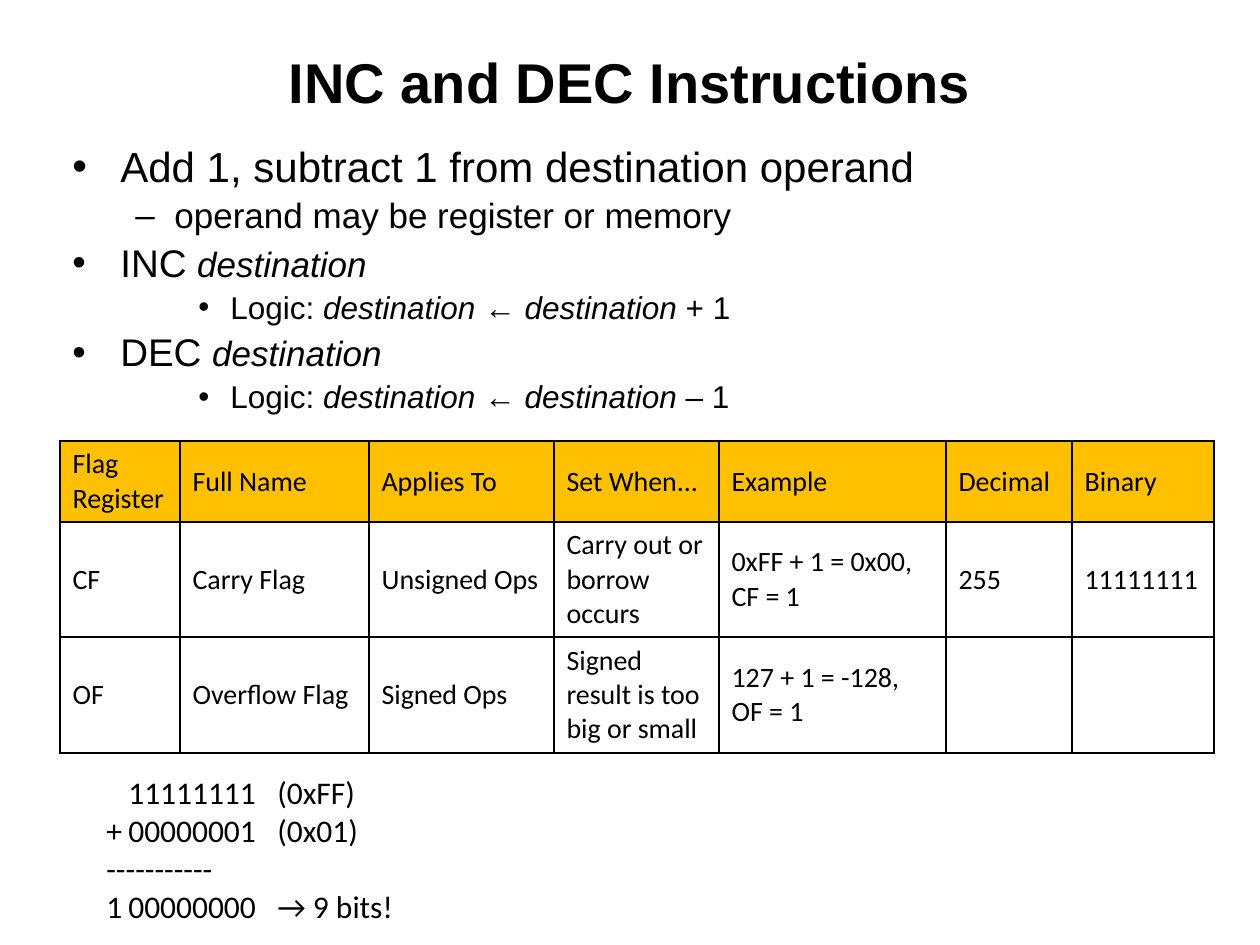
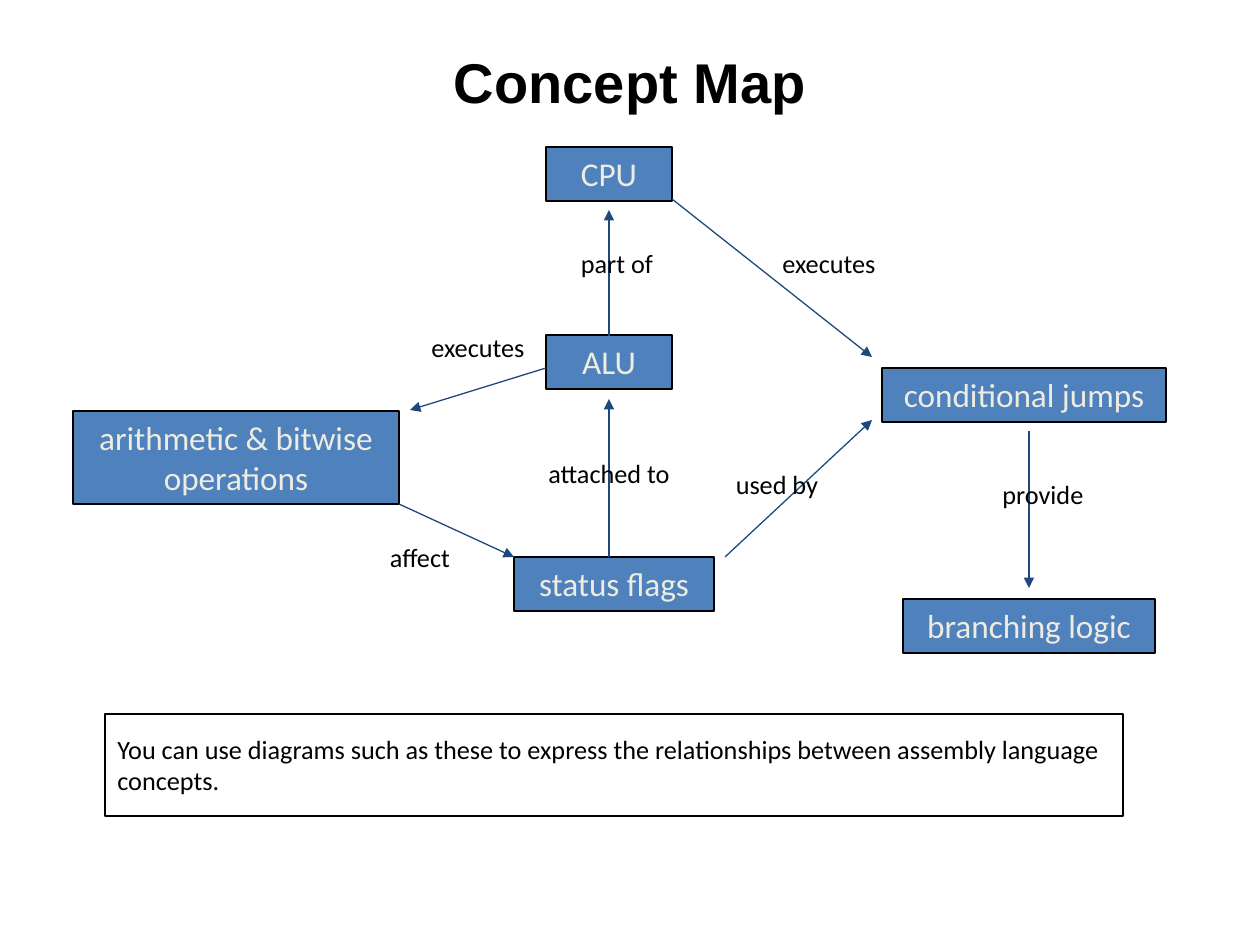
"""Build two slides: INC and DEC instructions, and a concept map."""
from lxml import etree
from pptx import Presentation, util as u
from pptx.dml.color import RGBColor
from pptx.enum import shapes as es, text as et
from pptx.oxml.ns import qn

HUES = {"ink": "000000", "head": "FFC000", "box": "4F81BD",
        "pale": "EEECE1", "line": "1F497D"}
PX = 914400 / 126
MID = et.PP_ALIGN.CENTER

LEVELS = [(48, -48, "•"), (102, -39, "–"), (158, -32, "•")]


def logic(end):
    return (2, [("Logic: ", 18, False), ("destination ", 18, True), ("← ", 18, False),
                ("destination ", 18, True), (end, 18, False)])


def usage(name):
    return (0, [(name + " ", 22, False), ("destination", 20, True)])


POINTS = [
    (0, [("Add 1, subtract 1 from destination operand", 24, False)]),
    (1, [("operand may be register or memory", 20, False)]),
    usage("INC"), logic("+ 1"),
    usage("DEC"), logic("– 1"),
]

WIDTHS = [120, 189, 185, 165, 227, 126, 142]
HEIGHTS = [81, 115, 116]
FLAGS = [
    ["Flag Register", "Full Name", "Applies To", "Set When...", "Example",
     "Decimal", "Binary"],
    ["CF", "Carry Flag", "Unsigned Ops", "Carry out or borrow occurs",
     "0xFF + 1 = 0x00,\nCF = 1", "255", "11111111"],
    ["OF", "Overflow Flag", "Signed Ops", "Signed result is too big or small",
     "127 + 1 = -128, OF = 1", "", ""],
]

TABS = [22, 171]
SUM = ["\t11111111\t(0xFF)", "+\t00000001\t(0x01)", "-----------",
       "1\t00000000\t→ 9 bits!"]

NODES = [
    ("status flags", 514, 557, 200, 54),
    ("ALU", 546, 335, 126, 54),
    ("conditional jumps", 882, 368, 284, 54),
    ("branching logic", 903, 599, 252, 54),
    ("arithmetic & bitwise operations", 73, 411, 326, 93),
    ("CPU", 546, 147, 126, 54),
]
LINKS = [
    (609, 336, 609, 210), (399, 504, 514, 557), (609, 557, 609, 399),
    (725, 557, 872, 420), (1029, 431, 1029, 588), (672, 199, 872, 357),
    (546, 368, 410, 410),
]
LABELS = [
    (" part of", 546, 231, 136), ("used by", 651, 452, 252),
    (" provide", 914, 462, 252), ("attached to", 483, 441, 252),
    ("affect", 294, 525, 252), ("executes", 703, 231, 252),
    ("executes", 399, 315, 158),
]
NOTE = ("You can use diagrams such as these to express the relationships "
        "between assembly language concepts.")


def px(n):
    return u.Emu(round(n * PX))


def hue(name):
    return RGBColor.from_string(HUES[name])


def add_run(para, words, size, font="Calibri", tint="ink", bold=False, slant=False):
    run = para.add_run()
    run.text = words
    face = run.font
    face.name, face.size = font, u.Pt(size)
    face.bold, face.italic = bold, slant
    face.color.rgb = hue(tint)


def paras(frame, items):
    for i, item in enumerate(items):
        yield (frame.add_paragraph() if i else frame.paragraphs[0]), item


def set_frame(shape, pad=(12.6, 6.3), anchor=et.MSO_ANCHOR.TOP):
    frame = shape.text_frame
    frame.word_wrap = True
    frame.vertical_anchor = anchor
    frame.margin_left = frame.margin_right = px(pad[0])
    frame.margin_top = frame.margin_bottom = px(pad[1])
    return frame


def add_text(slide, box, **opts):
    return set_frame(slide.shapes.add_textbox(*map(px, box)), **opts)


def add_box(slide, box, fill, pad):
    shape = slide.shapes.add_shape(es.MSO_SHAPE.RECTANGLE, *map(px, box))
    shape.shadow.inherit = False
    if fill:
        shape.fill.solid()
        shape.fill.fore_color.rgb = hue(fill)
    else:
        shape.fill.background()
    shape.line.color.rgb = hue("ink")
    shape.line.width = u.Pt(0.75)
    return set_frame(shape, pad)


def put_line(frame, words, size, tint="ink", align=MID):
    para = frame.paragraphs[0]
    para.alignment = align
    add_run(para, words, size, tint=tint)


def add_page(deck, title):
    slide = deck.slides.add_slide(deck.slide_layouts[6])
    frame = add_text(slide, (63, 21, 1134, 120), anchor=et.MSO_ANCHOR.MIDDLE)
    para = frame.paragraphs[0]
    para.alignment = MID
    add_run(para, title, 32, "Arial", bold=True)
    return slide


def add_points(slide):
    frame = add_text(slide, (60, 140, 1134, 290))
    for para, (level, runs) in paras(frame, POINTS):
        left, hang, mark = LEVELS[level]
        para.level = level
        para.line_spacing = 0.9
        para.space_before = u.Pt(runs[0][1] * 0.2)
        props = para._p.get_or_add_pPr()
        props.set("marL", str(px(left)))
        props.set("indent", str(px(hang)))
        etree.SubElement(props, qn("a:buFont"), typeface="Arial")
        etree.SubElement(props, qn("a:buChar"), char=mark)
        for words, size, slant in runs:
            add_run(para, words, size, "Arial", slant=slant)


def add_edges(cell):
    props = cell._tc.get_or_add_tcPr()
    for i, side in enumerate("LRTB"):
        edge = etree.Element(qn("a:ln" + side), w=str(u.Pt(1)))
        fill = etree.SubElement(edge, qn("a:solidFill"))
        etree.SubElement(fill, qn("a:srgbClr"), val=HUES["ink"])
        props.insert(i, edge)


def add_flags(slide):
    box = (60, 441, sum(WIDTHS), sum(HEIGHTS))
    grid = slide.shapes.add_table(len(FLAGS), len(WIDTHS), *map(px, box)).table
    grid.first_row = grid.horz_banding = False
    for col, wide in zip(grid.columns, WIDTHS):
        col.width = px(wide)
    for r, (high, row) in enumerate(zip(HEIGHTS, FLAGS)):
        grid.rows[r].height = px(high)
        for c, words in enumerate(row):
            cell = grid.cell(r, c)
            cell.vertical_anchor = et.MSO_ANCHOR.MIDDLE
            if r:
                cell.fill.background()
            else:
                cell.fill.solid()
                cell.fill.fore_color.rgb = hue("head")
            add_edges(cell)
            if words:
                for para, part in paras(cell.text_frame, words.split("\n")):
                    add_run(para, part, 16)


def add_sum(slide):
    frame = add_text(slide, (94, 767, 378, 165))
    for para, words in paras(frame, SUM):
        stops = etree.SubElement(para._p.get_or_add_pPr(), qn("a:tabLst"))
        for stop in TABS:
            etree.SubElement(stops, qn("a:tab"), pos=str(px(stop)), algn="l")
        add_run(para, words, 18)


def add_link(slide, ends):
    link = slide.shapes.add_connector(es.MSO_CONNECTOR.STRAIGHT, *map(px, ends))
    link.line.color.rgb = hue("line")
    link.line.width = u.Pt(0.75)
    etree.SubElement(link.line._get_or_add_ln(), qn("a:tailEnd"), type="triangle")
    etree.SubElement(link._element.spPr, qn("a:effectLst"))


def add_map(slide):
    frame = add_box(slide, (105, 714, 1018, 102), None, (12.6, 19))
    put_line(frame, NOTE, 15, align=et.PP_ALIGN.LEFT)
    for words, *box in NODES:
        put_line(add_box(slide, box, "box", (6.3, 6.3)), words, 19, "pale")
    for ends in LINKS:
        add_link(slide, ends)
    for words, *spot in LABELS:
        put_line(add_text(slide, (*spot, 69), pad=(12.6, 19)), words, 15)


def main():
    deck = Presentation()
    deck.slide_width, deck.slide_height = px(1260), px(945)
    slide = add_page(deck, "INC and DEC Instructions")
    add_points(slide)
    add_flags(slide)
    add_sum(slide)
    add_map(add_page(deck, "Concept Map"))
    deck.save("out.pptx")


if __name__ == "__main__":
    main()
